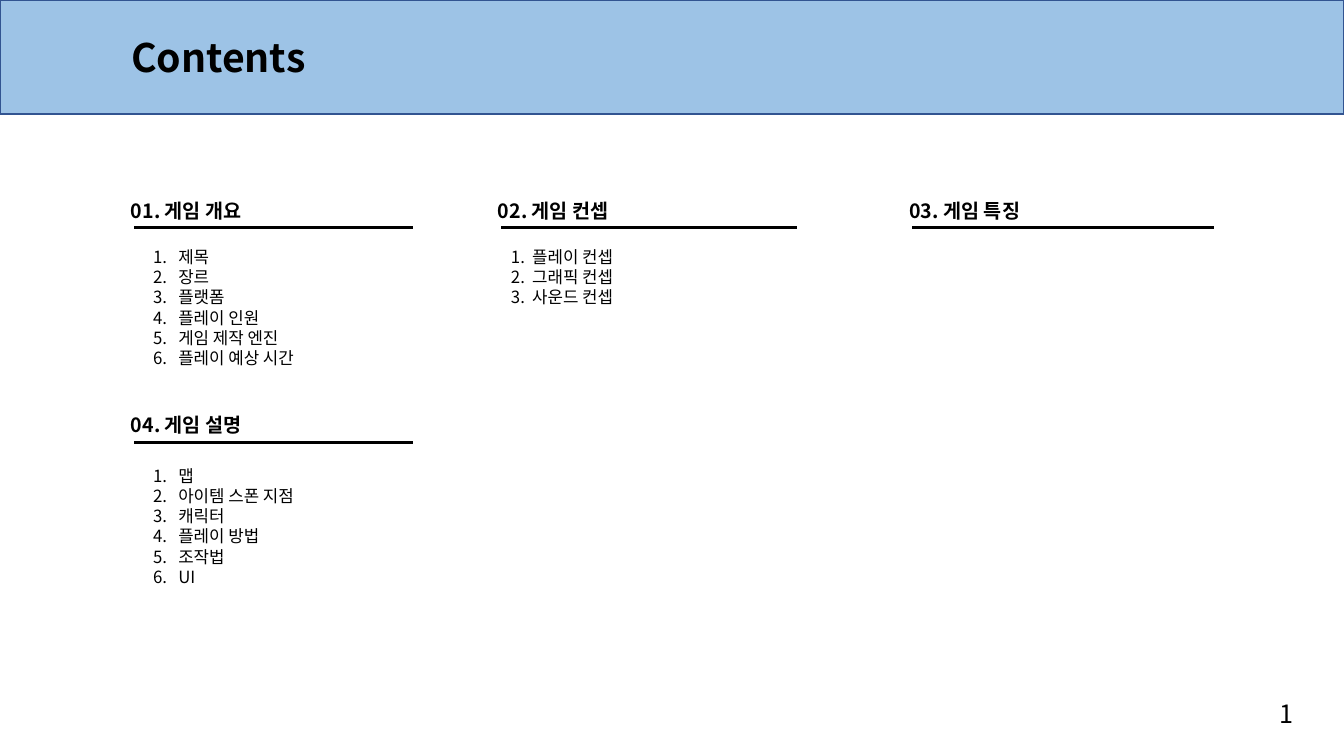
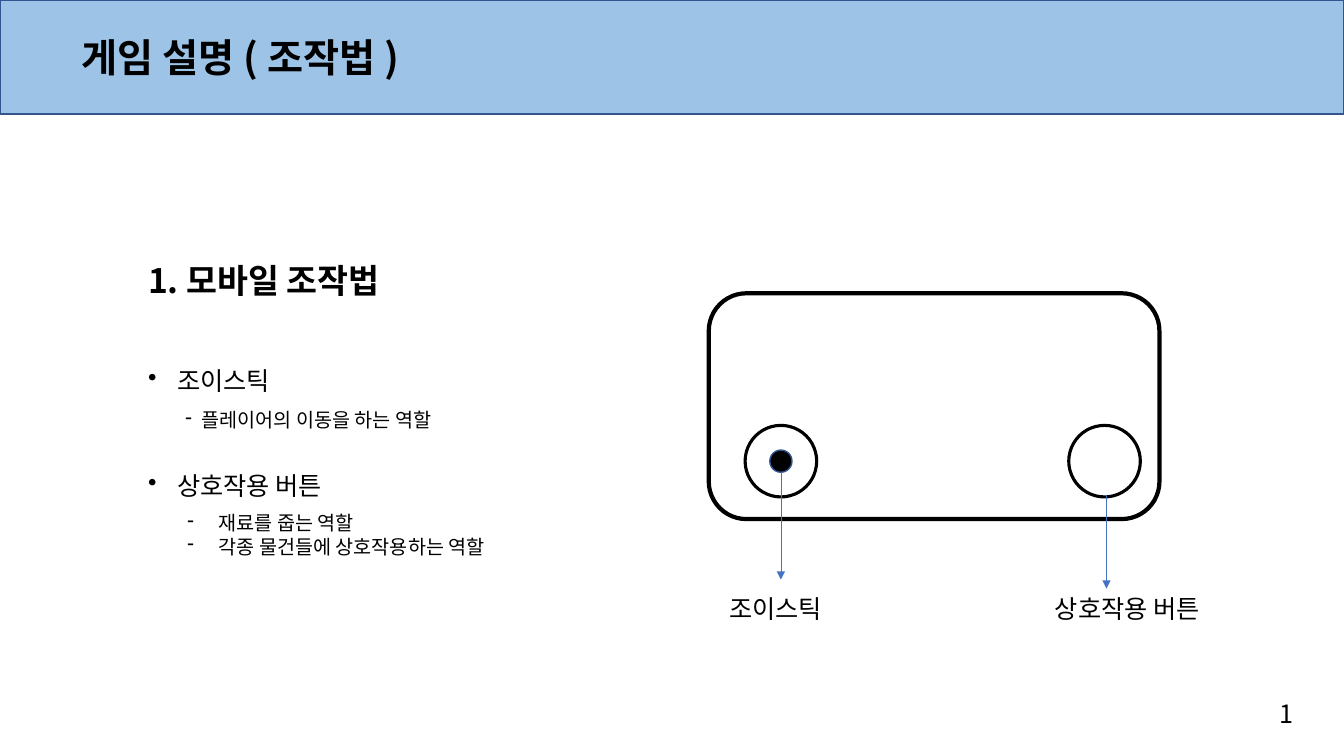
from pptx import Presentation
from pptx.dml.color import RGBColor
from pptx.enum.shapes import MSO_CONNECTOR, MSO_SHAPE
from pptx.enum.text import MSO_ANCHOR, MSO_AUTO_SIZE, PP_ALIGN
from pptx.oxml.ns import qn
from pptx.util import Inches, Pt
from lxml import etree

RECTANGLE = MSO_SHAPE.RECTANGLE
ROUNDED = MSO_SHAPE.ROUNDED_RECTANGLE
OVAL = MSO_SHAPE.OVAL
STRAIGHT = MSO_CONNECTOR.STRAIGHT
TOP = MSO_ANCHOR.TOP
LEFT = PP_ALIGN.LEFT
NO_AUTOFIT = MSO_AUTO_SIZE.NONE

BLACK = RGBColor(0x00, 0x00, 0x00)
WHITE = RGBColor(0xFF, 0xFF, 0xFF)
BAND_BLUE = RGBColor(0x9D, 0xC3, 0xE6)
OUTLINE_BLUE = RGBColor(0x32, 0x54, 0x91)
ARROW_BLUE = RGBColor(0x44, 0x72, 0xC4)

FONT = "Noto Sans CJK KR"
LINE_HEIGHT = 1.2
SLIDE_WIDTH, SLIDE_HEIGHT = 13.33, 7.5
BAND_HEIGHT = 1.13
TITLE_ONLY = 5

# Contents grid: left edge and width of each column, top of each row
COLUMNS = ((1.33, 2.77), (4.97, 2.93), (9.05, 2.99))
ROWS = (1.92, 4.05)
HEADING_HEIGHT = 0.34

# column, row, heading, items, list offset (right, down), list indent
SECTIONS = (
    (0, 0, "01. 게임 개요",
     ("제목", "장르", "플랫폼", "플레이 인원", "게임 제작 엔진", "플레이 예상 시간"),
     (0.09, 0.48), 0.25),
    (1, 0, "02. 게임 컨셉", ("플레이 컨셉", "그래픽 컨셉", "사운드 컨셉"),
     (0, 0.48), 0.21),
    (2, 0, "03. 게임 특징", (), (0, 0), 0),
    (0, 1, "04. 게임 설명",
     ("맵", "아이템 스폰 지점", "캐릭터", "플레이 방법", "조작법", "UI"),
     (0.09, 0.52), 0.25),
)


def inches(*lengths):
    return [Inches(length) for length in lengths]


# Text
def add_bullet(paragraph, bullet, indent):
    properties = paragraph._p.get_or_add_pPr()
    properties.set("marL", str(Inches(indent)))
    properties.set("indent", str(-Inches(indent)))
    if bullet == "1.":
        etree.SubElement(properties, qn("a:buAutoNum"), type="arabicPeriod")
    else:
        etree.SubElement(properties, qn("a:buChar"), char=bullet)


def write(shape, lines, size, bold=False, bullet=None, indent=0):
    frame = shape.text_frame
    frame.word_wrap = True
    frame.auto_size = NO_AUTOFIT
    frame.vertical_anchor = TOP
    frame.text = "\n".join(lines)
    for paragraph in frame.paragraphs:
        if bullet:
            add_bullet(paragraph, bullet, indent)
        paragraph.alignment = LEFT
        paragraph.line_spacing = Pt(size * LINE_HEIGHT)
        font = paragraph.font
        font.size, font.bold, font.name = Pt(size), bold, FONT
        font.color.rgb = BLACK
        defaults = paragraph._p.pPr.find(qn("a:defRPr"))
        etree.SubElement(defaults, qn("a:ea"), typeface=FONT)


def add_text(slide, box, lines, size, **style):
    write(slide.shapes.add_textbox(*inches(*box)), lines, size, **style)


# Shapes and lines
def add_outline(shapes, kind, box, line_color, line_width, fill=None):
    shape = shapes.add_shape(kind, *inches(*box))
    shape.shadow.inherit = False
    if fill is None:
        shape.fill.background()
    else:
        shape.fill.solid()
        shape.fill.fore_color.rgb = fill
    shape.line.color.rgb = line_color
    shape.line.width = Pt(line_width)
    return shape


def add_line(slide, start, end, color, width, arrow=False):
    connector = slide.shapes.add_connector(STRAIGHT, *inches(*start, *end))
    connector.line.color.rgb = color
    connector.line.width = Pt(width)
    properties = connector.element.spPr
    if arrow:
        etree.SubElement(properties.find(qn("a:ln")), qn("a:tailEnd"), type="triangle")
    etree.SubElement(properties, qn("a:effectLst"))


# Band, title and page number shared by the slides
def add_page(presentation, title, title_left, number):
    slide = presentation.slides.add_slide(presentation.slide_layouts[TITLE_ONLY])
    placeholder = slide.shapes.title
    band = add_outline(slide.shapes, RECTANGLE, (0, 0, SLIDE_WIDTH, BAND_HEIGHT),
                       OUTLINE_BLUE, 1, BAND_BLUE)
    placeholder.element.addprevious(band.element)
    placeholder.left, placeholder.top = inches(title_left, 0.28)
    placeholder.width, placeholder.height = inches(4.63, 0.57)
    write(placeholder, [title], 28, bold=True)
    add_text(slide, (12.59, 6.88, 0.34, 0.4), [number], 18)
    return slide


# One underlined heading with its numbered list
def add_section(slide, left, top, width, heading, items, list_offset, indent):
    rule = top + HEADING_HEIGHT
    add_line(slide, (left, rule), (left + width, rule), BLACK, 2.25)
    add_text(slide, (left - 0.13, top, width, HEADING_HEIGHT), [heading], 14, bold=True)
    if items:
        right, down = list_offset
        height = 0.1 + 0.2 * len(items)
        add_text(slide, (left + right, top + down, width, height), items, 12,
                 bullet="1.", indent=indent)


def build_contents(presentation):
    slide = add_page(presentation, "Contents", 1.2, "1")
    for column, row, *content in SECTIONS:
        left, width = COLUMNS[column]
        add_section(slide, left, ROWS[row], width, *content)


# Explanation of each control
def add_explanation(slide, left, top, width):
    add_text(slide, (left, top, width, 0.5), ["1. 모바일 조작법"], 24, bold=True)
    for name, down in (("조이스틱", 1.05), ("상호작용 버튼", 2.09)):
        add_text(slide, (left, top + down, width, 0.4), [name], 18,
                 bullet="•", indent=0.29)
    add_text(slide, (left + 0.37, top + 1.47, width, 0.34),
             ["플레이어의 이동을 하는 역할"], 14, bullet="-", indent=0.16)
    add_text(slide, (left + 0.39, top + 2.49, width, 0.57),
             ["재료를 줍는 역할", "각종 물건들에 상호작용하는 역할"], 14,
             bullet="-", indent=0.31)


# Handheld screen with two round controls and their labels
def add_device(slide, left, top, width, height):
    button, knob = 0.71, 0.22
    button_top = top + height - 0.93
    stick_left, action_left = left + 0.36, left + width - 0.9
    inset = (button - knob) / 2
    shapes = slide.shapes.add_group_shape().shapes
    add_outline(shapes, ROUNDED, (left, top, width, height), BLACK, 3, WHITE)
    for button_left in (stick_left, action_left):
        add_outline(shapes, OVAL, (button_left, button_top, button, button), BLACK, 2.25)
    add_outline(shapes, OVAL, (stick_left + inset, button_top + inset, knob, knob),
                OUTLINE_BLUE, 1, BLACK)

    bottom = top + height
    callouts = (
        ("조이스틱", stick_left + button / 2, bottom - 0.47, bottom + 0.6, 0.61),
        ("상호작용 버튼", action_left + button / 2 + 0.02, bottom - 0.24, bottom + 0.69, 0.61),
    )
    for label, x, start, end, label_shift in callouts:
        add_line(slide, (x, start), (x, end), ARROW_BLUE, 0.5, arrow=True)
        add_text(slide, (x - label_shift, bottom + 0.69, 2, 0.4), [label], 18)


def build_controls(presentation):
    slide = add_page(presentation, "게임 설명 ( 조작법 )", 0.71, "1")
    add_device(slide, 7.03, 2.91, 4.47, 2.24)
    add_explanation(slide, 1.37, 2.53, 4)


def main():
    presentation = Presentation()
    presentation.slide_width, presentation.slide_height = inches(SLIDE_WIDTH, SLIDE_HEIGHT)
    build_contents(presentation)
    build_controls(presentation)
    presentation.save("out.pptx")


if __name__ == "__main__":
    main()
